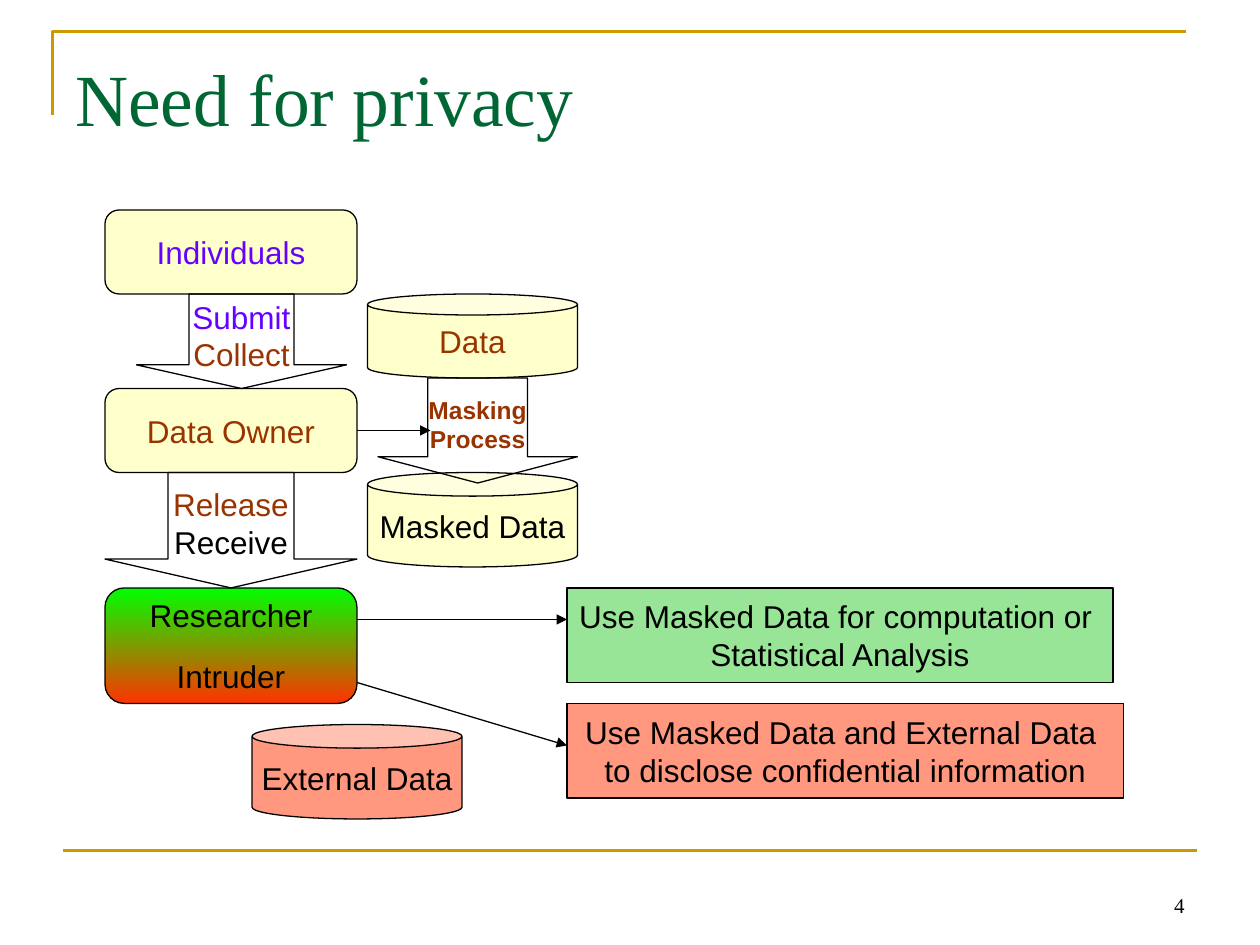
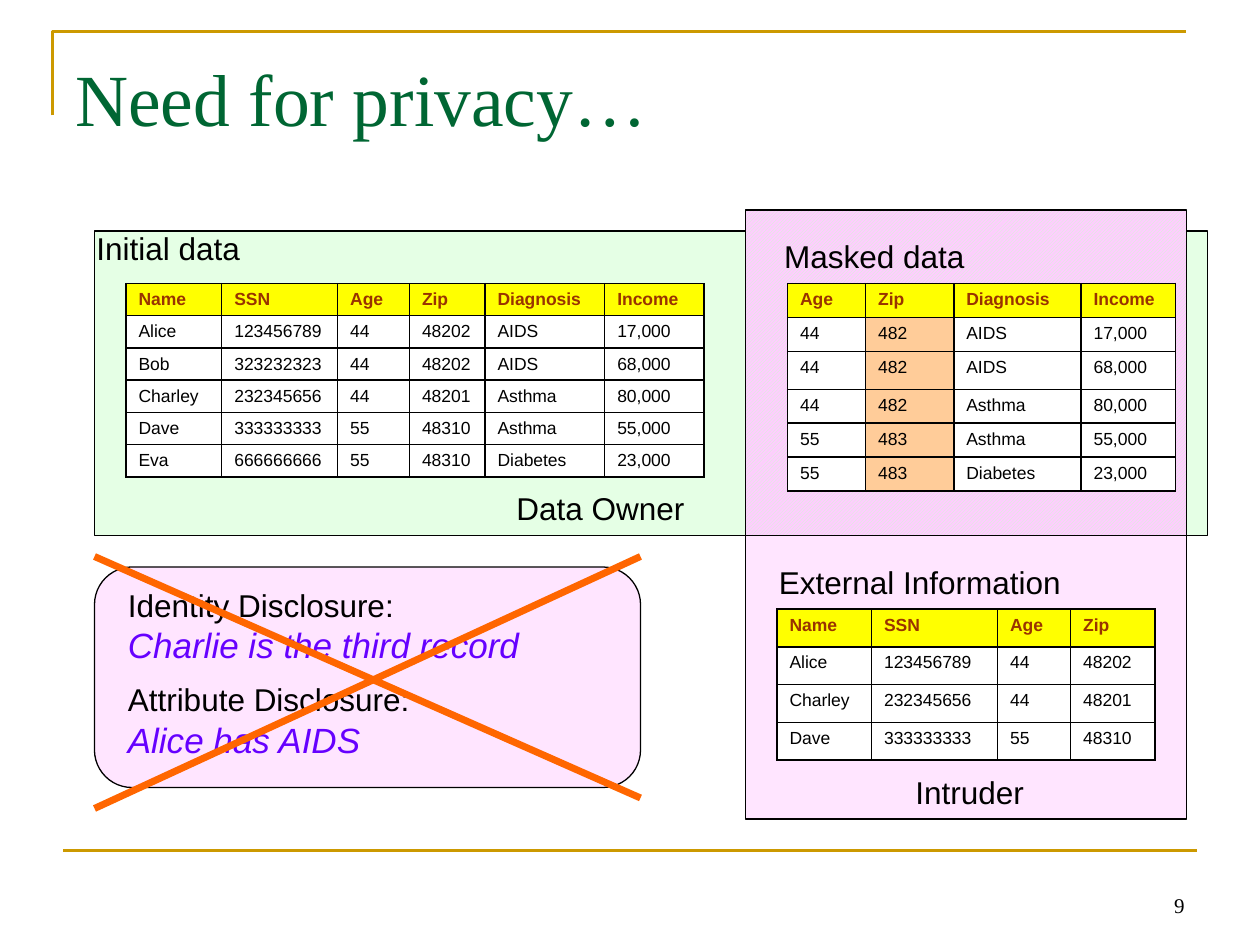
"""Build two slides on the need for privacy: the data flow and a worked example."""
import pptx
import pptx.dml.color
import pptx.enum.dml
import pptx.enum.shapes
import pptx.enum.text
import pptx.oxml
import pptx.oxml.ns
import pptx.util

CELL = pptx.util.Inches(1 / 12)
COLUMNS, ROWS = 120, 90
BLACK, GOLD, VIOLET, BROWN, ORANGE = "000000", "CC9900", "6600FF", "993300", "FF6600"
CREAM, RED, GREEN, MINT, PINK = "FFFF99", "FF3300", "33CC33", "CCFFCC", "FFCCFF"
YELLOW, PEACH, WHITE = "FFFF00", "FFCC99", "FFFFFF"
SERIF, SANS = "Times New Roman", "Arial"
STYLES = {
    "title": (SERIF, 42, "006633", False, False),
    "number": (SERIF, 12, BLACK, False, False),
    "plain": (SANS, 18, BLACK, False, False),
    "individual": (SANS, 18, VIOLET, False, False),
    "owner": (SANS, 18, BROWN, False, False),
    "masking": (SANS, 14, BROWN, True, False),
    "finding": (SANS, 20, VIOLET, False, True),
    "head": (SANS, 10, BROWN, True, False),
    "entry": (SANS, 10, BLACK, False, False),
}

rgb = pptx.dml.color.RGBColor.from_string
qn = pptx.oxml.ns.qn
SHAPE = pptx.enum.shapes.MSO_SHAPE
ALIGN = pptx.enum.text.PP_ALIGN
ANCHOR = pptx.enum.text.MSO_ANCHOR
NAMESPACE = pptx.oxml.ns.nsdecls("a")


def write(frame, lines, align):
    for index, (style, text) in enumerate(lines):
        paragraph = frame.add_paragraph() if index else frame.paragraphs[0]
        paragraph.text = text
        paragraph.alignment = align
        font = paragraph.font
        font.name, size, colour, font.bold, font.italic = STYLES[style]
        font.size = pptx.util.Pt(size)
        font.color.rgb = rgb(colour)


def draw(slide, kind, box, fill, *lines):
    shape = slide.shapes.add_shape(kind, *[round(CELL * length) for length in box])
    shape.shadow.inherit = False
    if fill:
        shape.fill.solid()
        shape.fill.fore_color.rgb = rgb(fill)
        tint = shape.element.spPr.find(".//" + qn("a:srgbClr"))
        tint.append(pptx.oxml.parse_xml(f'<a:alpha {NAMESPACE} val="50000"/>'))
    else:
        shape.fill.background()
    shape.line.color.rgb = rgb(BLACK)
    shape.line.width = pptx.util.Pt(0.75)
    shape.text_frame.word_wrap = False
    shape.text_frame.vertical_anchor = ANCHOR.MIDDLE
    write(shape.text_frame, lines, ALIGN.CENTER)
    return shape


deck = pptx.Presentation()
deck.slide_width, deck.slide_height = COLUMNS * CELL, ROWS * CELL
flow, example = [deck.slides.add_slide(deck.slide_layouts[6]) for _ in range(2)]

for slide, title, number in [(flow, "Need for privacy", "4"), (example, "Need for privacy…", "9")]:
    outline = slide.shapes.build_freeform(5, 11, scale=CELL)
    outline.add_line_segments([(5, 3), (113, 3)], close=False)
    corner = outline.convert_to_shape()
    corner.shadow.inherit = False
    corner.fill.background()
    corner.line.color.rgb = rgb(GOLD)
    corner.line.width = pptx.util.Pt(1.5)
    for style, text, box, anchor, align in [
        ("title", title, (6, 3.6, 108, 15), ANCHOR.TOP, ALIGN.LEFT),
        ("number", number, (86, 82, 28, 6), ANCHOR.BOTTOM, ALIGN.RIGHT),
    ]:
        frame = slide.shapes.add_textbox(*[round(CELL * length) for length in box]).text_frame
        frame.word_wrap = True
        frame.vertical_anchor = anchor
        if style == "title":
            frame.margin_top = pptx.util.Inches(0.12)
        write(frame, [(style, text)], align)

PARTY = SHAPE.FLOWCHART_ALTERNATE_PROCESS
draw(flow, PARTY, (10, 20, 24, 8), CREAM, ("individual", "Individuals"))
draw(flow, PARTY, (10, 37, 24, 8), CREAM, ("owner", "Data Owner"))
recipients = draw(flow, PARTY, (10, 56, 24, 11), None, ("plain", "Researcher"), ("plain", "Intruder"))
recipients.text_frame.paragraphs[1].space_before = pptx.util.Pt(13)
recipients.fill.gradient()
recipients.fill.gradient_angle = 270
for stop, position, colour in zip(recipients.fill.gradient_stops, (0, 1), ("00FF00", RED)):
    stop.position = position
    stop.color.rgb = rgb(colour)

for box, fill, style, store in [
    ((35, 28, 20, 8), CREAM, "owner", "Data"),
    ((35, 45, 20, 9), CREAM, "plain", "Masked Data"),
    ((24, 69, 20, 9), RED, "plain", "External Data"),
]:
    draw(flow, SHAPE.CAN, box, fill, (style, store))

for box, *steps in [
    ((13, 28, 20, 9), ("individual", "Submit"), ("owner", "Collect")),
    ((10, 45, 24, 11), ("owner", "Release"), ("plain", "Receive")),
    ((36, 36, 19, 10), ("masking", "Masking"), ("masking", "Process")),
]:
    draw(flow, SHAPE.DOWN_ARROW, box, None, *steps).adjustments[1] = 0.25

for box, fill, *use in [
    ((54, 56, 52, 9), GREEN, "Use Masked Data for computation or ", "Statistical Analysis"),
    ((54, 67, 53, 9), RED, "Use Masked Data and External Data ", "to disclose confidential information"),
]:
    draw(flow, SHAPE.RECTANGLE, box, fill, *[("plain", text) for text in use])

draw(example, SHAPE.RECTANGLE, (9, 22, 106, 29), MINT)
draw(example, SHAPE.RECTANGLE, (71, 21, 42, 57), PINK)
overlap = draw(example, SHAPE.RECTANGLE, (71, 20, 42, 31), None)
overlap.fill.patterned()
overlap.fill.pattern = pptx.enum.dml.MSO_PATTERN.DARK_UPWARD_DIAGONAL
overlap.fill.fore_color.rgb = rgb(MINT)
overlap.fill.back_color.rgb = rgb(PINK)
disclosures = draw(example, SHAPE.ROUNDED_RECTANGULAR_CALLOUT, (9, 54, 52, 21), PINK)
for index, value in enumerate((-0.5, 0.2, 0.17)):
    disclosures.adjustments[index] = value

initial = [
    ("Name", "SSN", "Age", "Zip", "Diagnosis", "Income"),
    ("Alice", "123456789", "44", "48202", "AIDS", "17,000"),
    ("Bob", "323232323", "44", "48202", "AIDS", "68,000"),
    ("Charley", "232345656", "44", "48201", "Asthma", "80,000"),
    ("Dave", "333333333", "55", "48310", "Asthma", "55,000"),
    ("Eva", "666666666", "55", "48310", "Diabetes", "23,000"),
]
masked = [initial[0][2:]] + [(age, zip_code[:3], *rest) for _, _, age, zip_code, *rest in initial[1:]]
external = [initial[row][:4] for row in (0, 1, 3, 4)]

for records, (left, top), widths, heights, masked_column in [
    (initial, (12, 27), (0.76, 0.92, 0.57, 0.6, 0.95, 0.79), [0.256] * 6, None),
    (external, (74, 58), (0.75, 1, 0.58, 0.67), [0.3] * 4, None),
    (masked, (75, 27), (0.62, 0.7, 1.01, 0.75), [0.27, 0.27, 0.3, 0.27, 0.27, 0.27], 1),
]:
    table = example.shapes.add_table(
        len(records), len(widths), left * CELL, top * CELL,
        pptx.util.Inches(sum(widths)), pptx.util.Inches(sum(heights))).table
    for column, width in zip(table.columns, widths):
        column.width = pptx.util.Inches(width)
    for row, height in zip(table.rows, heights):
        row.height = pptx.util.Inches(height)
    for r, record in enumerate(records):
        for c, value in enumerate(record):
            cell = table.cell(r, c)
            cell.margin_top, cell.margin_bottom = pptx.util.Inches(0.05), pptx.util.Inches(0.03)
            write(cell.text_frame, [("entry" if r else "head", value)], ALIGN.JUSTIFY)
            for side in "LRTB":
                cell._tc.get_or_add_tcPr().append(pptx.oxml.parse_xml(
                    f'<a:ln{side} {NAMESPACE} w="12700"><a:solidFill>'
                    f'<a:srgbClr val="{BLACK}"/></a:solidFill></a:ln{side}>'))
            cell.fill.solid()
            cell.fill.fore_color.rgb = rgb(YELLOW if r == 0 else PEACH if c == masked_column else WHITE)

for box, *lines in [
    ((73.5, 22, 27.4, 4.8), ("plain", "Masked data")),
    ((8, 21.2, 23.4, 4.8), ("plain", "Initial data")),
    ((73, 53, 30, 4.8), ("plain", "External Information")),
    ((48, 46, 18.4, 4.8), ("plain", "Data Owner")),
    ((86, 73, 12.7, 4.8), ("plain", "Intruder")),
    ((11, 55.2, 53, 8.8), ("plain", "Identity Disclosure:"), ("finding", "Charlie is the third record")),
    ((11, 64.2, 47, 8.8), ("plain", "Attribute Disclosure:"), ("finding", "Alice has AIDS")),
]:
    frame = example.shapes.add_textbox(*[round(CELL * length) for length in box]).text_frame
    frame.word_wrap = True
    write(frame, lines, ALIGN.LEFT)

for slide, ends, colour, width, arrow in [
    (flow, (6, 81, 114, 81), GOLD, 1.5, False),
    (flow, (34, 41, 41, 41), BLACK, 0.75, True),
    (flow, (34, 59, 54, 59), BLACK, 0.75, True),
    (flow, (34, 65, 54, 71), BLACK, 0.75, True),
    (example, (6, 81, 114, 81), GOLD, 1.5, False),
    (example, (9, 53, 61, 76), ORANGE, 4, False),
    (example, (9, 77, 61, 53), ORANGE, 4, False),
]:
    link = slide.shapes.add_connector(
        pptx.enum.shapes.MSO_CONNECTOR.STRAIGHT, *[CELL * end for end in ends])
    link.line.color.rgb = rgb(colour)
    link.line.width = pptx.util.Pt(width)
    properties = link._element.spPr
    if arrow:
        properties.find(qn("a:ln")).append(pptx.oxml.parse_xml(f'<a:tailEnd {NAMESPACE} type="triangle"/>'))
    properties.append(pptx.oxml.parse_xml(f"<a:effectLst {NAMESPACE}/>"))

deck.save("out.pptx")
